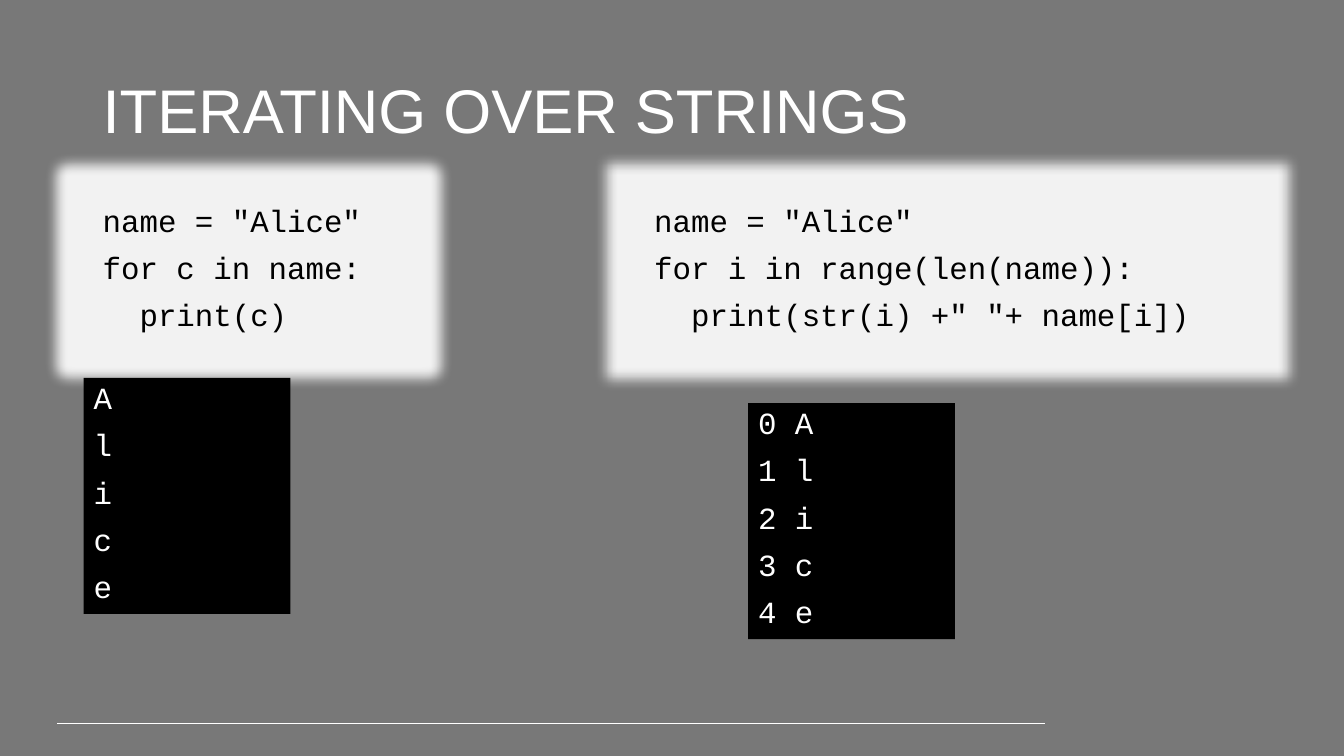
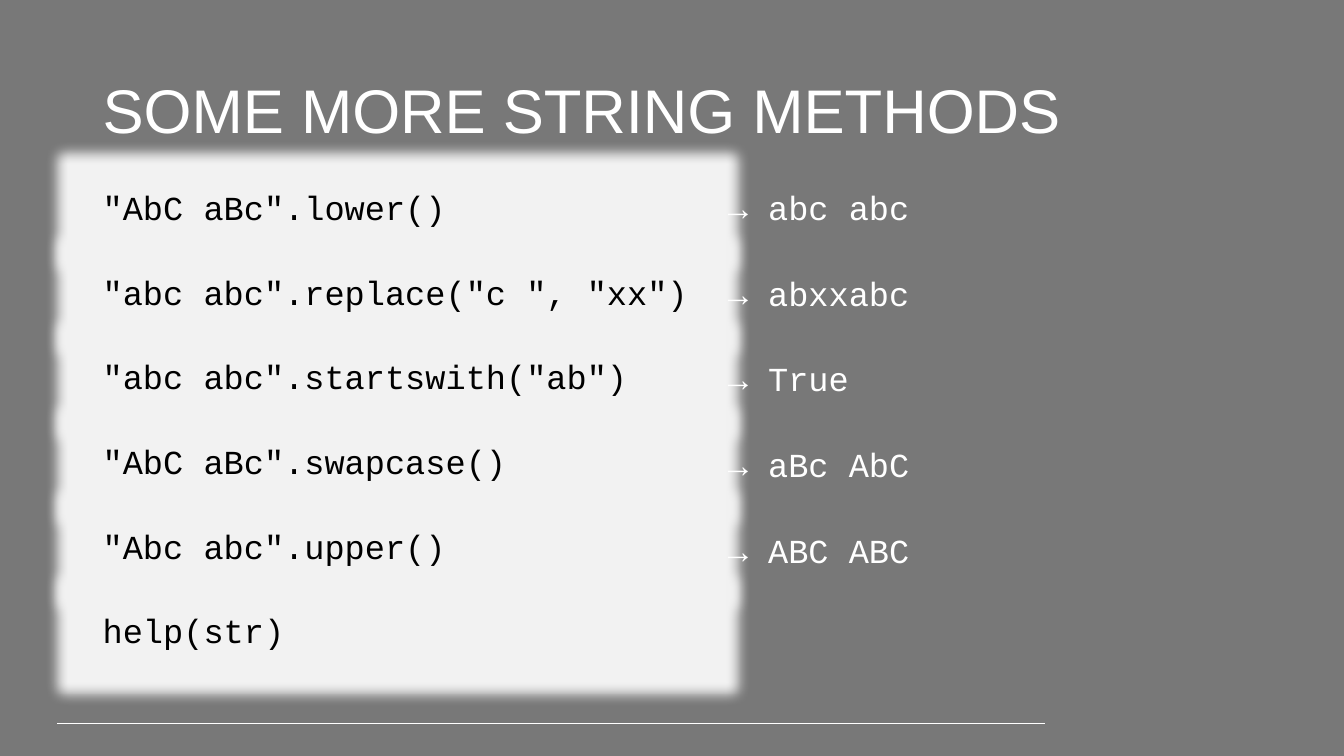
from lxml import etree
from pptx import Presentation
from pptx.dml.color import RGBColor
from pptx.enum.shapes import MSO_CONNECTOR, MSO_SHAPE
from pptx.enum.text import MSO_ANCHOR, PP_ALIGN
from pptx.oxml.ns import qn
from pptx.util import Inches, Pt

GREY = RGBColor(0x78, 0x78, 0x78)
PALE = RGBColor(0xF2, 0xF2, 0xF2)
BLACK = RGBColor(0, 0, 0)
WHITE = RGBColor(0xFF, 0xFF, 0xFF)
GLOW = Pt(18)

prs = Presentation()
prs.slide_width, prs.slide_height = Inches(13.33), Inches(7.5)
bg = prs.slide_master.background.fill
bg.solid()
bg.fore_color.rgb = GREY


def add_text(s, x, y, w, h, lines, size, color, fill=None, font="Courier New"):
    box = [Inches(v) for v in (x, y, w, h)]
    if fill is None:
        sp = s.shapes.add_textbox(*box)
    else:
        sp = s.shapes.add_shape(MSO_SHAPE.RECTANGLE, *box)
        sp.shadow.inherit = False
        sp.fill.solid()
        sp.fill.fore_color.rgb = fill
        sp.line.fill.background()
    if fill == PALE:
        effects = sp._element.spPr.find(qn("a:effectLst"))
        glow = etree.SubElement(effects, qn("a:glow"), rad=str(GLOW))
        etree.SubElement(glow, qn("a:srgbClr"), val=str(PALE))
    tf = sp.text_frame
    tf.word_wrap = True
    tf.vertical_anchor = MSO_ANCHOR.TOP
    for i, line in enumerate(lines):
        p = tf.add_paragraph() if i else tf.paragraphs[0]
        p.alignment = PP_ALIGN.LEFT
        p.line_spacing = 0.9
        p.space_before = Pt(10 if i else 0)
        r = p.add_run()
        r.text = line
        r.font.name = font
        r.font.size = Pt(size)
        r.font.color.rgb = color
    return sp


def add_slide(title):
    s = prs.slides.add_slide(prs.slide_layouts[6])
    rule = s.shapes.add_connector(
        MSO_CONNECTOR.STRAIGHT, Inches(0.57), Inches(7.18), Inches(10.36), Inches(7.18))
    rule.line.color.rgb = WHITE
    rule.line.width = Pt(0.75)
    etree.SubElement(rule._element.spPr, qn("a:effectLst"))
    sp = add_text(s, 0.92, 0.4, 11.5, 1.45, [title], 44, WHITE, font="Arial")
    sp.text_frame.vertical_anchor = MSO_ANCHOR.MIDDLE
    return s


s = add_slide("ITERATING OVER STRINGS")
programs = [
    (0.92, 3.09, ['name = "Alice"', "for c in name:", "  print(c)"]),
    (6.39, 6.02, ['name = "Alice"', "for i in range(len(name)):",
                  '  print(str(i) +" "+ name[i])']),
]
for x, w, code in programs:
    add_text(s, x, 1.99, w, 1.39, code, 22, BLACK, PALE)
outputs = [
    (0.83, 3.75, list("Alice")),
    (7.42, 4, [f"{i} {c}" for i, c in enumerate("Alice")]),
]
for x, y, lines in outputs:
    add_text(s, x, y, 2.05, 2.34, lines, 22, WHITE, BLACK)

s = add_slide("SOME MORE STRING METHODS")
methods = [
    ('"AbC aBc".lower()', "→ abc abc"),
    ('"abc abc".replace("c ", "xx")', "→ abxxabc"),
    ('"abc abc".startswith("ab")', "→ True"),
    ('"AbC aBc".swapcase()', "→ aBc AbC"),
    ('"Abc abc".upper()', "→ ABC ABC"),
    ("help(str)", None),
]
for i, (call, result) in enumerate(methods):
    add_text(s, 0.92, 1.85 + 0.84 * i, 6.03, 0.47, [call], 24, BLACK, PALE)
    if result:
        add_text(s, 7.12, 1.85 + 0.85 * i, 3.47, 0.47, [result], 24, WHITE)

prs.save("out.pptx")
